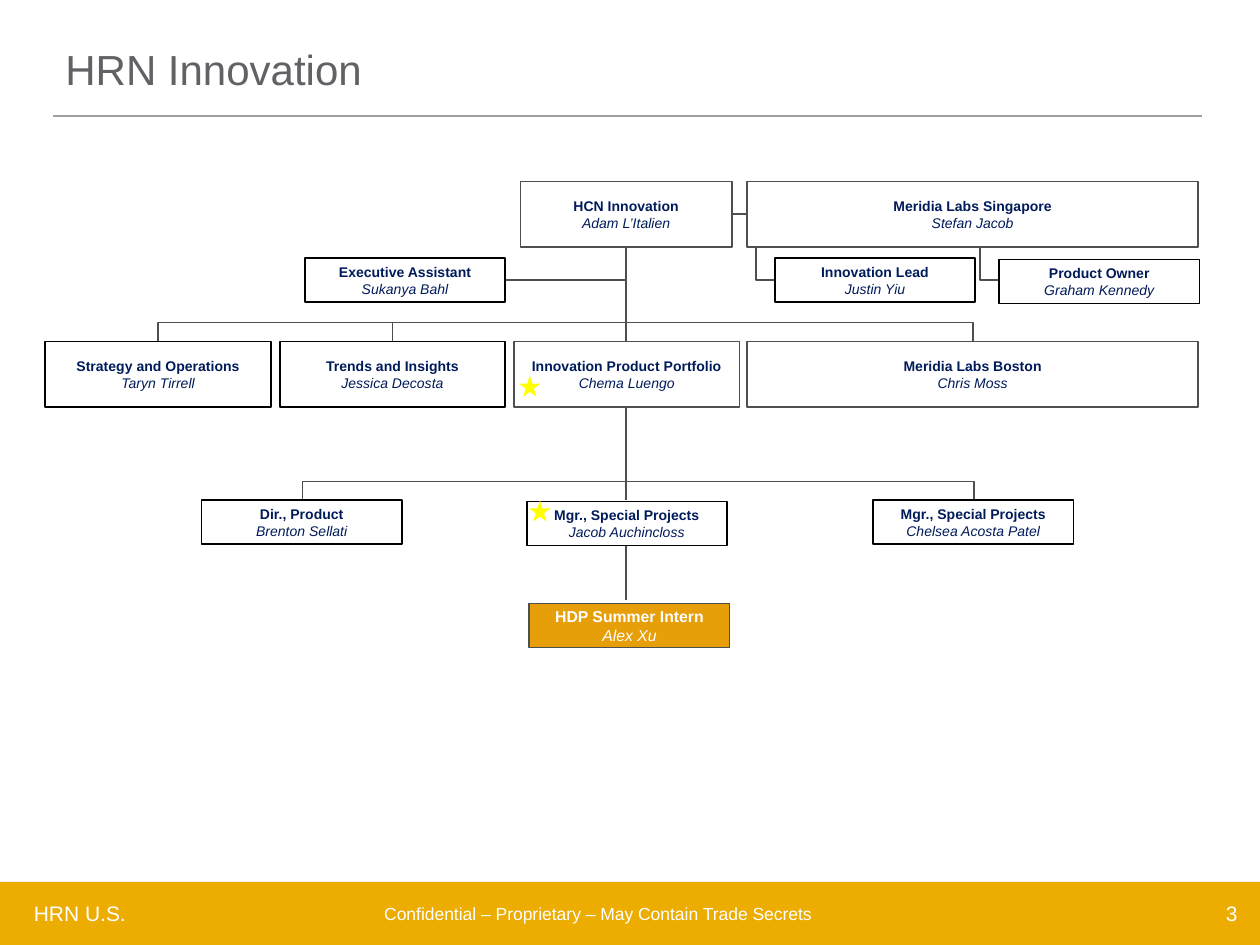
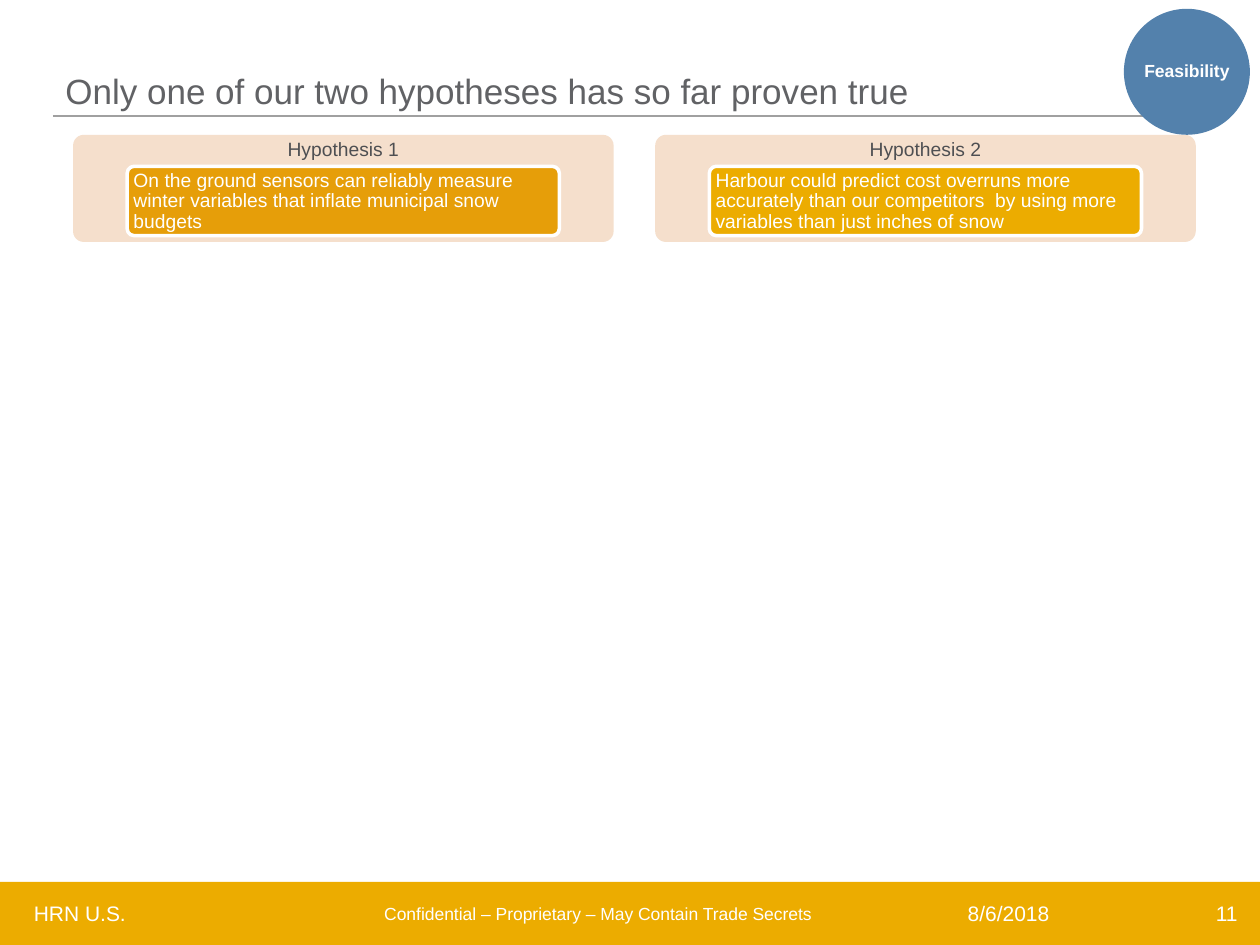
from lxml import etree
from pptx import Presentation
from pptx import util as u
from pptx.dml.color import RGBColor
from pptx.enum import shapes, text
from pptx.oxml import ns

GOLD = RGBColor(0xEC, 0xAC, 0x00)
AMBER = RGBColor(0xE6, 0x9E, 0x09)
PEACH = RGBColor(0xF5, 0xDF, 0xCC)
YELLOW = RGBColor(0xFF, 0xFF, 0x00)
BLUE = RGBColor(0x53, 0x81, 0xAC)
NAVY = RGBColor(0x00, 0x1B, 0x5A)
SLATE = RGBColor(0x4E, 0x4F, 0x52)
GRAY = RGBColor(0x61, 0x62, 0x65)
RULE = RGBColor(0xA0, 0xA0, 0xA0)
WHITE = RGBColor(0xFF, 0xFF, 0xFF)
BLACK = RGBColor(0, 0, 0)

FONT = "Arial"
UNIT = "HRN"
KIND = shapes.MSO_SHAPE
LINK = shapes.MSO_CONNECTOR
TOP, MIDDLE = text.MSO_ANCHOR.TOP, text.MSO_ANCHOR.MIDDLE
LEFT, CENTER, RIGHT = text.PP_ALIGN.LEFT, text.PP_ALIGN.CENTER, text.PP_ALIGN.RIGHT
WIDE, TALL = 10, 7.5


def inches(*nums):
    return [u.Inches(n) for n in nums]


def write(shape, lines, size, color, align=CENTER, anchor=MIDDLE, inset=None, space=None):
    frame = shape.text_frame
    frame.word_wrap = True
    frame.vertical_anchor = anchor
    if inset is not None:
        frame.margin_left = frame.margin_right = u.Inches(inset[0])
        frame.margin_top = frame.margin_bottom = u.Inches(inset[1])
    for i, (words, bold, slant) in enumerate(lines):
        para = frame.add_paragraph() if i else frame.paragraphs[0]
        para.alignment = align
        if space:
            para.line_spacing = space
        run = para.add_run()
        run.text = words
        font = run.font
        font.name, font.size, font.bold, font.italic = FONT, u.Pt(size), bold, slant
        font.color.rgb = color


def label(slide, box, words, size, color, **style):
    shape = slide.shapes.add_textbox(*inches(*box))
    write(shape, [(words, False, False)], size, color, **style)


def block(slide, kind, box, fill, edge=None, weight=1, curve=None):
    shape = slide.shapes.add_shape(kind, *inches(*box))
    shape.shadow.inherit = False
    shape.fill.solid()
    shape.fill.fore_color.rgb = fill
    if edge is None:
        shape.line.fill.background()
    else:
        shape.line.color.rgb = edge
        shape.line.width = u.Pt(weight)
    if curve:
        shape.adjustments[0] = curve
    return shape


def link(slide, start, end, kind=LINK.STRAIGHT, color=SLATE, weight=1):
    line = slide.shapes.add_connector(kind, *inches(*start, *end))
    line.line.color.rgb = color
    line.line.width = u.Pt(weight)
    etree.SubElement(line.element.spPr, ns.qn("a:effectLst"))
    return line


def corner(slide, start, end):
    line = link(slide, start, end, LINK.ELBOW)
    line.element.spPr.find(ns.qn("a:prstGeom")).set("prst", "bentConnector2")


def drop(slide, start, end, bend=0.8):
    (x1, y1), (x2, y2) = start, end
    run, fall = abs(x2 - x1), y2 - y1
    left, top = (x1 + x2 - fall) / 2, (y1 + y2 - run) / 2
    low, high = (top + run, top) if x2 > x1 else (top, top + run)
    line = link(slide, (left, low), (left + fall, high), LINK.ELBOW)
    props = line.element.spPr
    props.find(ns.qn("a:xfrm")).set("rot", "5400000")
    guides = props.find(ns.qn("a:prstGeom")).get_or_add_avLst()
    guide = etree.SubElement(guides, ns.qn("a:gd"))
    guide.set("name", "adj1")
    guide.set("fmla", f"val {round(bend * 100000)}")


def footer(slide, top, page, date=None):
    block(slide, KIND.RECTANGLE, (0, top, WIDE, TALL - top), GOLD)
    label(slide, (0.17, top + 0.1, 2.42, 0.3), f"{UNIT} U.S.", 12, WHITE,
          align=LEFT, anchor=TOP)
    label(slide, (2.08, top + 0.12, 5.33, 0.27),
          "Confidential – Proprietary – May Contain Trade Secrets", 10, WHITE, anchor=TOP)
    label(slide, (9.17, top + 0.05, 0.75, 0.4), page, 12, WHITE, align=RIGHT)
    if date:
        label(slide, (6.92, top + 0.05, 2.17, 0.4), date, 12, WHITE)


def base(deck, title, top, size, page, date=None):
    slide = deck.slides.add_slide(deck.slide_layouts[6])
    footer(slide, 7, page, date)
    link(slide, (0.42, 0.92), (9.54, 0.92), color=RULE, weight=0.75)
    label(slide, (0.42, top, 9.08, 0.53), title, size, GRAY, align=LEFT, anchor=TOP)
    return slide


def person(slide, box, role, name, edge=BLACK, fill=WHITE, color=NAVY, size=8):
    shape = block(slide, KIND.RECTANGLE, box, fill, edge)
    write(shape, [(role, True, False), (name, False, True)], size, color)


def chart(slide, x, y):
    big, small = 0.52, 0.35
    wide, slim, step = 1.79, 1.59, 1.86
    aide, units, team, intern = y + 0.61, y + 1.27, y + 2.53, y + 3.35
    trunk, labs, span = x + 4.61, x + 5.57, 3.58
    lead, owner = x + 5.79, x + 7.57
    head = (trunk, y + big)
    hub = (trunk, units + big)
    side = aide + small / 2

    for mid in (x + wide / 2, x + step + wide / 2, labs + span / 2):
        drop(slide, head, (mid, units))
    link(slide, head, (trunk, units))
    link(slide, (labs, y + big / 2), (labs - 0.12, y + big / 2))
    corner(slide, (x + 3.65, side), head)
    for left in (lead, owner):
        corner(slide, (left, side), (left - 0.15, y + big))
    for mid in (x + 2.04, x + 7.37):
        drop(slide, hub, (mid, team))
    link(slide, hub, (trunk, team))
    link(slide, (trunk, team + small), (trunk, intern - 0.03))

    person(slide, (x + 3.77, y, 1.68, big), "HCN Innovation", "Adam L’Italien", SLATE)
    person(slide, (labs, y, span, big), "Meridia Labs Singapore", "Stefan Jacob", SLATE)
    staff = [
        (x + 2.06, aide, "Executive Assistant", "Sukanya Bahl"),
        (lead, aide, "Innovation Lead", "Justin Yiu"),
        (owner, aide + 0.01, "Product Owner", "Graham Kennedy"),
        (x + 1.24, team, "Dir., Product", "Brenton Sellati"),
        (x + 3.82, team + 0.01, "Mgr., Special Projects", "Jacob Auchincloss"),
        (x + 6.57, team, "Mgr., Special Projects", "Chelsea Acosta Patel"),
    ]
    for left, top, role, name in staff:
        person(slide, (left, top, slim, small), role, name)
    heads = [
        ("Strategy and Operations", "Taryn Tirrell", BLACK),
        ("Trends and Insights", "Jessica Decosta", BLACK),
        ("Innovation Product Portfolio", "Chema Luengo", SLATE),
    ]
    for i, (role, name, edge) in enumerate(heads):
        person(slide, (x + i * step, units, wide, big), role, name, edge)
    person(slide, (labs, units, span, big), "Meridia Labs Boston", "Chris Moss", SLATE)
    person(slide, (x + 3.84, intern, slim, small), "HDP Summer Intern", "Alex Xu",
           SLATE, AMBER, WHITE, 9)
    for left, top in ((x + 3.76, units + 0.27), (x + 3.84, team)):
        block(slide, KIND.STAR_5_POINT, (left, top, 0.17, 0.17), YELLOW)


def panel(slide, x, y, title, words, fill):
    wide = 4.29
    block(slide, KIND.ROUNDED_RECTANGLE, (x, y, wide, 0.85), PEACH, curve=0.1)
    label(slide, (x, y, wide, 0.25), title, 11, SLATE, inset=(0.05, 0.05), space=0.9)
    block(slide, KIND.ROUNDED_RECTANGLE, (x + 0.43, y + 0.25, 3.43, 0.55),
          fill, WHITE, 2, 0.1)
    label(slide, (x + 0.45, y + 0.27, 3.4, 0.52), words, 11, WHITE,
          align=LEFT, inset=(0.03, 0.02), space=0.9)


def badge(slide, x, y, size, words):
    pad = 0.15
    block(slide, KIND.OVAL, (x, y, size, size), BLUE)
    core = block(slide, KIND.RECTANGLE,
                 (x + pad, y + pad, size - 2 * pad, size - 2 * pad), BLUE)
    write(core, [(words, True, False)], 10, WHITE, inset=(0.01, 0.01), space=0.9)


def main():
    deck = Presentation()
    deck.slide_width, deck.slide_height = inches(WIDE, TALL)

    slide = base(deck, f"{UNIT} Innovation", 0.3, 24, "3")
    chart(slide, 0.36, 1.44)

    slide = base(deck, "Only one of our two hypotheses has so far proven true",
                 0.5, 20, "11", "8/6/2018")
    ideas = [
        ("On the ground sensors can reliably measure winter variables "
         "that inflate municipal snow budgets", AMBER),
        ("Harbour could predict cost overruns more accurately than our competitors  "
         "by using more variables than just inches of snow", GOLD),
    ]
    for i, (words, fill) in enumerate(ideas):
        panel(slide, 0.58 + i * 4.62, 1.07, f"Hypothesis {i + 1}", words, fill)
    badge(slide, 8.92, 0.07, 1, "Feasibility")

    deck.save("out.pptx")


if __name__ == "__main__":
    main()
